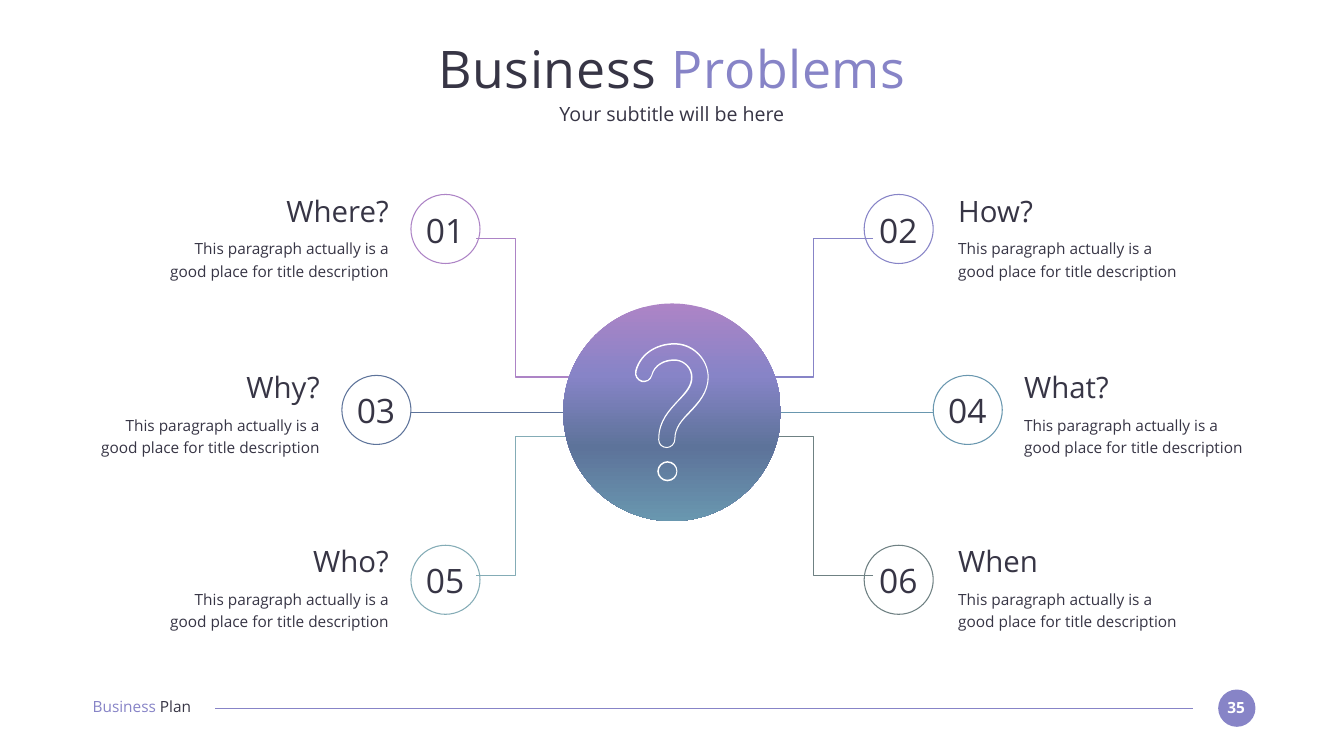
from lxml import etree
from pptx import Presentation, util as u
from pptx.dml.color import RGBColor
from pptx.enum import shapes, text
from pptx.oxml.ns import qn

COLORS = {
    "ink": "373545", "white": "FFFFFF", "orchid": "AD84C6", "violet": "8784C7",
    "navy": "5D739A", "teal": "6997AF", "mist": "84ACB6", "slate": "6F8183",
}
LEFT, CENTER, RIGHT = text.PP_ALIGN.LEFT, text.PP_ALIGN.CENTER, text.PP_ALIGN.RIGHT


def write(frame, runs, size, align, resize=text.MSO_AUTO_SIZE.SHAPE_TO_FIT_TEXT):
    frame.margin_left = frame.margin_right = frame.margin_top = frame.margin_bottom = 0
    frame.word_wrap = True
    frame.auto_size = resize
    paragraph = frame.paragraphs[0]
    paragraph.text = runs[0][0]
    for words, _ in runs[1:]:
        paragraph.add_run().text = words
    paragraph.alignment = align
    for run, (_, color) in zip(paragraph.runs, runs):
        run.font.size = u.Pt(size)
        run.font.name = "Open Sans"
        run.font.color.rgb = RGBColor.from_string(COLORS[color])
    return paragraph


def draw_curves(canvas, contours, scale, close):
    builder = canvas.build_freeform(*contours[0][0], scale=scale)
    for number, (start, *points) in enumerate(contours):
        if number:
            builder.move_to(*start)
        builder.add_line_segments(points, close=close)
    outline = builder.convert_to_shape()
    segments = list(outline._element.iter(qn("a:lnTo")))
    for first, second, third in zip(segments[::3], segments[1::3], segments[2::3]):
        bend = etree.Element(qn("a:cubicBezTo"))
        first.addprevious(bend)
        for segment in (first, second, third):
            bend.append(segment[0])
            segment.getparent().remove(segment)
    outline.shadow.inherit = False
    return outline


prs = Presentation()
prs.slide_width, prs.slide_height = u.Cm(67.73), u.Cm(38.1)
slide = prs.slides.add_slide(prs.slide_layouts[1])
canvas = slide.shapes
outlined = []

title, subtitle = canvas.title, slide.placeholders[1]
for holder, top, height, runs, size in (
    (title, 1.82, 3.23, [("Business ", "ink"), ("Problems", "violet")], 74),
    (subtitle, 5.13, 1.24, [("Your subtitle will be here", "ink")], 28),
):
    holder.left, holder.top = u.Cm(4.65), u.Cm(top)
    holder.width, holder.height = u.Cm(58.42), u.Cm(height)
    heading = write(holder.text_frame, runs, size, CENTER, text.MSO_AUTO_SIZE.NONE)
    holder.text_frame.vertical_anchor = text.MSO_ANCHOR.MIDDLE
    heading.space_before = u.Pt(0)
for run in title.text_frame.paragraphs[0].runs:
    run.font._element.set("spc", "100")
bullet = subtitle.text_frame.paragraphs[0]._p.get_or_add_pPr()
bullet.set("marL", "0")
bullet.set("indent", "0")
etree.SubElement(bullet, qn("a:buNone"))

badge = canvas.add_shape(shapes.MSO_SHAPE.OVAL, u.Cm(61.39), u.Cm(34.75), u.Cm(1.88), u.Cm(1.88))
badge.shadow.inherit = False
badge.fill.solid()
badge.fill.fore_color.rgb = RGBColor.from_string(COLORS["violet"])
badge.line.fill.background()
page = canvas.add_textbox(u.Cm(61.54), u.Cm(35.18), u.Cm(1.5), u.Cm(0.94))
write(page.text_frame, [("35", "white")], 22, CENTER).runs[0].font.bold = True
footer = canvas.add_textbox(u.Cm(4.67), u.Cm(35.15), u.Cm(6.58), u.Cm(0.94))
write(footer.text_frame, [("Business ", "violet"), ("Plan", "ink")], 22, LEFT)
rule = canvas.add_connector(shapes.MSO_CONNECTOR.STRAIGHT,
                            u.Cm(60.12), u.Cm(35.69), u.Cm(10.85), u.Cm(35.69))
outlined.append((rule, "violet", 1.5))

MID_X, LINK_X, HUB_Y, HUB = 33.87, 33.89, 20.78, 10.97
RING, NUMBER_W, BEND, PULL = 3.48, 2.77, 0.69, 0.31
OUTER, CORNER, INNER = 9.65, 7.49, 4.96
ROWS = (
    (11.54, 10.57, 9.73, 11.42, 33.94, 14.35, 11.63, 19.25,
     (("Where?", "orchid"), ("How?", "violet"))),
    (20.66, 19.63, 18.62, 14.9, 33.86, 17.75, 11.46, HUB_Y,
     (("Why?", "navy"), ("What?", "teal"))),
    (29.22, 28.22, 27.38, 11.42, 33.94, 14.35, 11.63, 21.54,
     (("Who?", "mist"), ("When", "slate"))),
)
description = "This paragraph actually is a good place for title description"
for row, (ring_y, number_y, text_y, ring_dx, text_mid, text_dx, text_w, hub_y,
          questions) in enumerate(ROWS):
    for column, (question, color) in enumerate(questions):
        side = 2 * column - 1
        ring_x = MID_X + side * ring_dx
        end_x = LINK_X + side * INNER
        if hub_y == HUB_Y:
            link = canvas.add_connector(shapes.MSO_CONNECTOR.STRAIGHT, u.Cm(end_x), u.Cm(hub_y),
                                        u.Cm(ring_x - side * RING / 2), u.Cm(hub_y))
        else:
            x, down = LINK_X + side * CORNER, 1 if hub_y > ring_y else -1
            turn_in, turn_out = (x + side * BEND, ring_y), (x, ring_y + down * BEND)
            turn_back, turn_hub = (x, hub_y - down * BEND), (x - side * BEND, hub_y)
            elbow = [
                (LINK_X + side * OUTER, ring_y), *[turn_in] * 3,
                (x + side * PULL, ring_y), (x, ring_y + down * PULL), turn_out,
                *[turn_back] * 3,
                (x, hub_y - down * PULL), (x - side * PULL, hub_y), turn_hub,
                *[(end_x, hub_y)] * 3,
            ]
            link = draw_curves(canvas, [elbow], u.Cm(1), False)
        ring = canvas.add_shape(shapes.MSO_SHAPE.OVAL, u.Cm(ring_x - RING / 2),
                                u.Cm(ring_y - RING / 2), u.Cm(RING), u.Cm(RING))
        outlined += [(link, color, 1.5), (ring, color, 1.5)]

        align = RIGHT if side < 0 else LEFT
        text_x = text_mid + side * text_dx - (text_w if side < 0 else 0)
        for left, top, width, height, words, size, alignment, spacing in (
            (ring_x - NUMBER_W / 2 - 0.02, number_y, NUMBER_W, 2.06,
             f"{2 * row + column + 1:02}", 48, CENTER, 1),
            (text_x, text_y, text_w, 1.8, question, 42, align, 1),
            (text_x, text_y + 2.16, text_w, 2.26, description, 22, align, 1.2),
        ):
            label = canvas.add_textbox(u.Cm(left), u.Cm(top), u.Cm(width), u.Cm(height))
            write(label.text_frame, [(words, "ink")], size, alignment).line_spacing = spacing

for part, color, width in outlined:
    part.line.color.rgb = RGBColor.from_string(COLORS[color])
    part.line.width = u.Pt(width)
    if part.shape_type == shapes.MSO_SHAPE_TYPE.LINE:
        etree.SubElement(part._element.spPr, qn("a:effectLst"))
    else:
        part.fill.background()
        part.shadow.inherit = False

hub = canvas.add_shape(shapes.MSO_SHAPE.OVAL, u.Cm(MID_X - HUB / 2),
                       u.Cm(HUB_Y - HUB / 2), u.Cm(HUB), u.Cm(HUB))
hub.shadow.inherit = False
hub.line.fill.background()
hub.fill.gradient()
hub.fill.gradient_angle = 270
stops = hub._element.spPr.find(qn("a:gradFill")).find(qn("a:gsLst"))
for stop in list(stops):
    stops.remove(stop)
for position, color in ((0, "orchid"), (33, "violet"), (66, "navy"), (100, "teal")):
    stop = etree.SubElement(stops, qn("a:gs"), pos=str(position * 1000))
    etree.SubElement(stop, qn("a:srgbClr"), val=COLORS[color])

hook_outside = [
    (1343, 681), (1311, 679), (1271, 695), (1260, 736), (1258, 746), (1264, 755), (1273, 758),
    (1277, 759), (1282, 758), (1286, 756), (1290, 753), (1293, 750), (1294, 745),
    (1300, 723), (1322, 715), (1341, 716), (1358, 717), (1371, 732), (1371, 748),
    (1371, 765), (1361, 776), (1345, 794), (1327, 813), (1306, 835), (1306, 871),
    (1306, 873), (1306, 873), (1306, 873), (1306, 882), (1313, 889), (1323, 889),
    (1332, 889), (1340, 881), (1340, 871), (1340, 849), (1354, 834), (1370, 818),
    (1387, 800), (1406, 779), (1406, 748), (1406, 714), (1378, 683), (1343, 681),
]
hook_inside = [
    (1368, 816), (1352, 833), (1338, 848), (1338, 871), (1338, 880), (1331, 887), (1323, 887),
    (1315, 887), (1308, 881), (1308, 873), (1308, 871), (1308, 871), (1308, 871),
    (1308, 836), (1329, 815), (1347, 795), (1364, 778), (1374, 766), (1374, 748),
    (1374, 730), (1359, 715), (1341, 713), (1339, 713), (1338, 713), (1337, 713),
    (1318, 713), (1297, 723), (1292, 745), (1291, 748), (1288, 752), (1285, 754),
    (1281, 755), (1277, 756), (1274, 755), (1266, 753), (1261, 745), (1263, 737),
    (1273, 697), (1312, 682), (1343, 684), (1376, 686), (1404, 715), (1404, 748),
    (1404, 778), (1385, 798), (1368, 816),
]
DOT_X, DOT_Y = 1324.5, 935
dot_edges = []
for radius, pull, turn in ((20, 11, 1), (17.5, 9.5, -1)):
    circle = [(0, -radius), (-pull, -radius), (-radius, -pull), (-radius, 0),
              (-radius, pull), (-pull, radius), (0, radius),
              (pull, radius), (radius, pull), (radius, 0),
              (radius, -pull), (pull, -radius), (0, -radius)]
    dot_edges.append([(DOT_X + dx, DOT_Y + dy) for dx, dy in circle[::turn]])
question_mark = draw_curves(canvas, [hook_outside, hook_inside, *dot_edges], u.Cm(2.54) / 100, True)
question_mark.fill.solid()
question_mark.fill.fore_color.rgb = RGBColor.from_string(COLORS["white"])
question_mark.line.fill.background()

prs.save("out.pptx")
